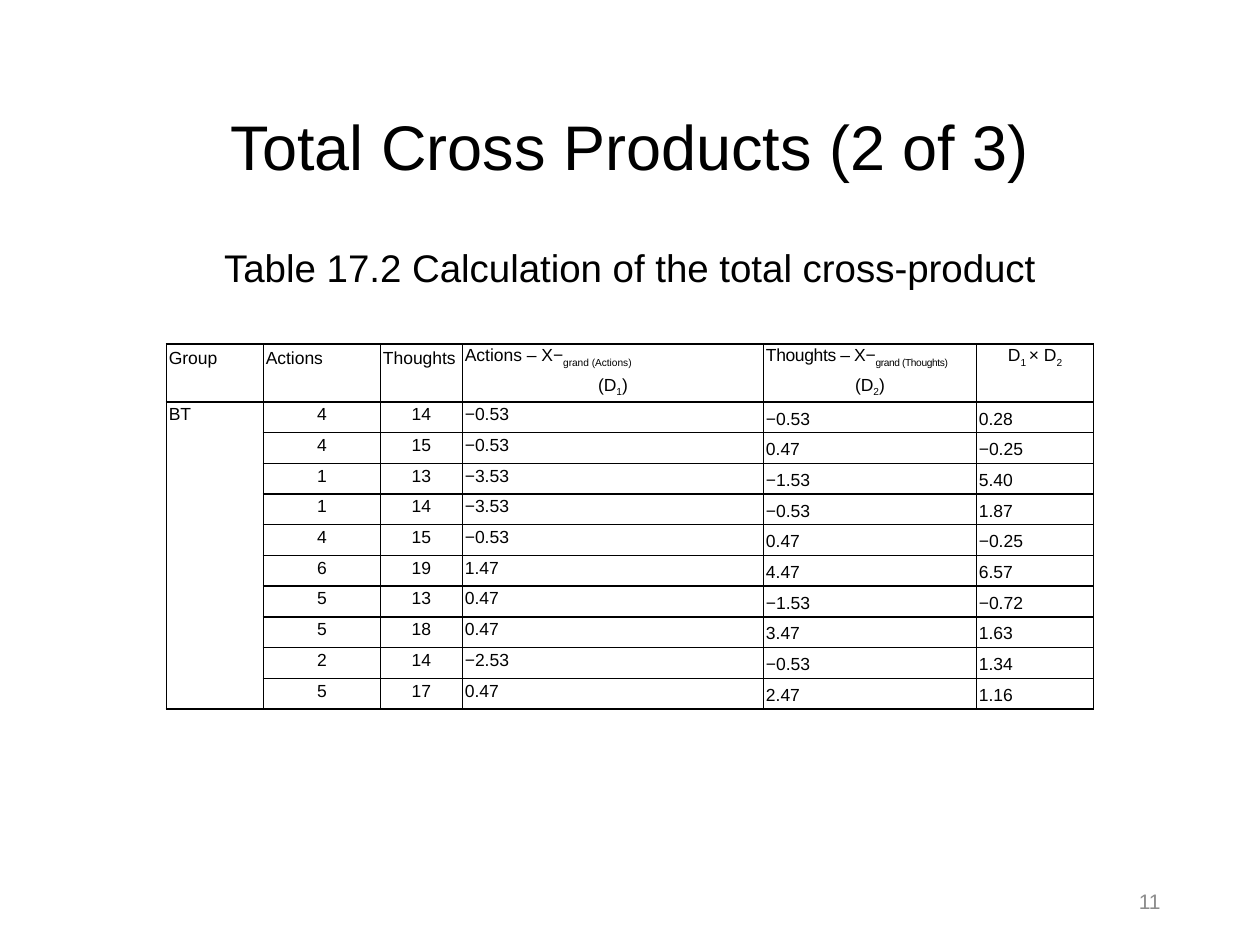
from lxml.etree import SubElement
from pptx import Presentation
from pptx.dml.color import RGBColor
from pptx.enum.text import MSO_ANCHOR, PP_ALIGN
from pptx.oxml.ns import qn
from pptx.util import Inches, Pt

COLORS = {"ink": "000000", "muted": "8C8C8C"}
LEFT, CENTER, RIGHT = PP_ALIGN.LEFT, PP_ALIGN.CENTER, PP_ALIGN.RIGHT

deck = Presentation()
deck.slide_width, deck.slide_height = Inches(10), Inches(7.5)
slide = deck.slides.add_slide(deck.slide_layouts[6])


def write(frame, text, size=10, color="ink", align=(LEFT,), line=None, gap=0, track=None):
    """Fill a frame: one paragraph a line, with subscripts between bars."""
    frame.word_wrap = True
    for i, words in enumerate(text.split("\n")):
        para = frame.paragraphs[0] if i == 0 else frame.add_paragraph()
        para.alignment = align[i]
        if line:
            para.line_spacing = line
        if i:
            para.space_before = Pt(gap)
        for j, part in enumerate(words.split("|")):
            if not part:
                continue
            run = para.add_run()
            run.text = part
            run.font.name, run.font.size = "Arial", Pt(size)
            run.font.color.rgb = RGBColor.from_string(COLORS[color])
            props = run._r.get_or_add_rPr()
            if j % 2:
                props.set("baseline", "-25000")
            if track and i == 0:
                props.set("spc", str(track))


def border(cell):
    props = cell._tc.get_or_add_tcPr()
    for side in ("lnL", "lnR", "lnT", "lnB"):
        edge = SubElement(props, qn(f"a:{side}"), w=str(Pt(1)))
        fill = SubElement(edge, qn("a:solidFill"))
        SubElement(fill, qn("a:srgbClr"), val=COLORS["ink"])


texts = [
    ((0.69, 0.47, 8.62, 1.45), "Total Cross Products (2 of 3)", MSO_ANCHOR.MIDDLE,
     dict(size=36, align=(CENTER,), line=0.9)),
    ((0.69, 1.89, 8.62, 0.48), "Table 17.2 Calculation of the total cross-product", MSO_ANCHOR.TOP,
     dict(size=22, align=(CENTER,))),
    ((7.06, 6.95, 2.25, 0.4), "11", MSO_ANCHOR.MIDDLE,
     dict(size=12, color="muted", align=(RIGHT,))),
]
for place, text, anchor, look in texts:
    frame = slide.shapes.add_textbox(*map(Inches, place)).text_frame
    frame.vertical_anchor = anchor
    write(frame, text, **look)

heads = [
    ("Group", {}),
    ("Actions", {}),
    ("Thoughts", {}),
    ("Actions – X−|grand (Actions)|\n(D|1|)", dict(align=(LEFT, CENTER), gap=6)),
    ("Thoughts – X−|grand (Thoughts)|\n(D|2|)", dict(align=(LEFT, CENTER), gap=6, track=-20)),
    ("D|1 |× D|2|", dict(align=(CENTER,))),
]
scores = [
    ("4", "14", "−0.53", "−0.53", "0.28"),
    ("4", "15", "−0.53", "0.47", "−0.25"),
    ("1", "13", "−3.53", "−1.53", "5.40"),
    ("1", "14", "−3.53", "−0.53", "1.87"),
    ("4", "15", "−0.53", "0.47", "−0.25"),
    ("6", "19", "1.47", "4.47", "6.57"),
    ("5", "13", "0.47", "−1.53", "−0.72"),
    ("5", "18", "0.47", "3.47", "1.63"),
    ("2", "14", "−2.53", "−0.53", "1.34"),
    ("5", "17", "0.47", "2.47", "1.16"),
]
widths = [0.77, 0.93, 0.65, 2.39, 1.69, 0.93]
heights = [0.46] + [0.24] * len(scores)

table = slide.shapes.add_table(
    len(heights), len(widths), Inches(1.32), Inches(2.73),
    Inches(sum(widths)), Inches(sum(heights))).table
table.first_row = table.horz_banding = False
for col, width in zip(table.columns, widths):
    col.width = Inches(width)
for row, height in zip(table.rows, heights):
    row.height = Inches(height)
for cell in table.iter_cells():
    border(cell)
    cell.fill.background()
    cell.margin_left = cell.margin_right = Inches(0.02)
    cell.margin_top, cell.margin_bottom = Inches(0.04), Inches(0.03)

for c, (text, look) in enumerate(heads):
    write(table.cell(0, c).text_frame, text, line=Pt(11), **look)

group = table.cell(1, 0)
group.merge(table.cell(len(scores), 0))
write(group.text_frame, "BT", line=Pt(10))

for r, row in enumerate(scores, 1):
    for c, text in enumerate(row, 1):
        write(table.cell(r, c).text_frame, text,
              align=(CENTER if c < 3 else LEFT,), line=Pt(10 if c < 4 else 12.5))

deck.save("out.pptx")
